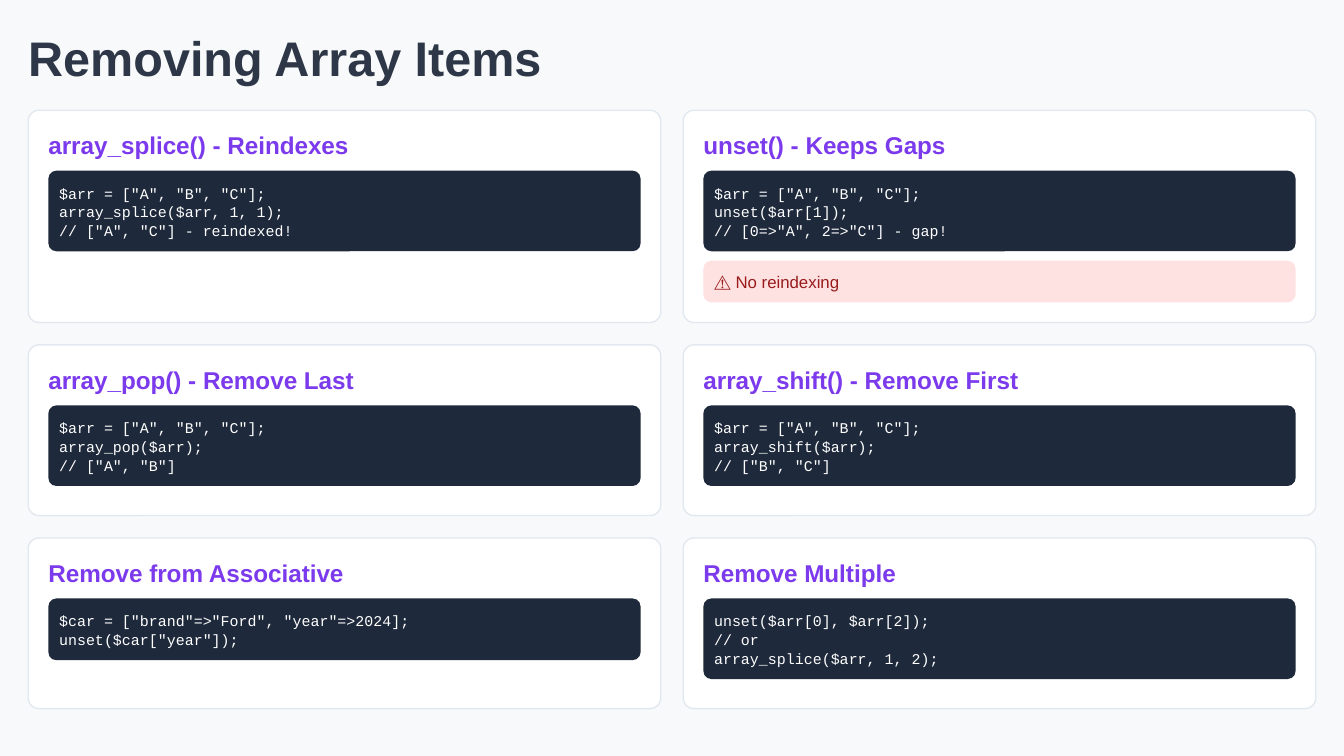
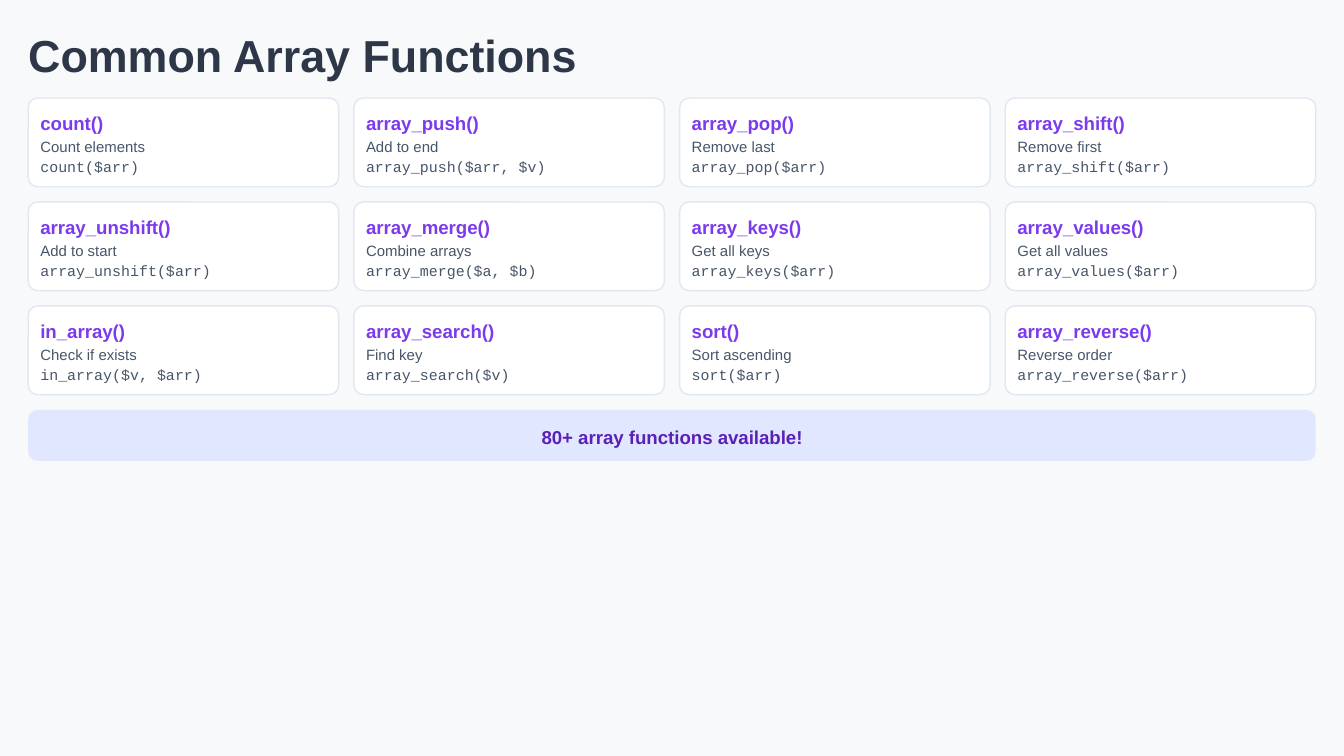
from dataclasses import dataclass

from pptx import Presentation
from pptx.dml.color import RGBColor
from pptx.enum.shapes import MSO_SHAPE
from pptx.enum.text import PP_ALIGN
from pptx.util import Inches, Pt

ROUNDED = MSO_SHAPE.ROUNDED_RECTANGLE
LEFT, CENTER = PP_ALIGN.LEFT, PP_ALIGN.CENTER

REMOVALS = [
    ("array_splice() - Reindexes",
     ['$arr = ["A", "B", "C"];', "array_splice($arr, 1, 1);", '// ["A", "C"] - reindexed!'], None),
    ("unset() - Keeps Gaps",
     ['$arr = ["A", "B", "C"];', "unset($arr[1]);", '// [0=>"A", 2=>"C"] - gap!'], "⚠️ No reindexing"),
    ("array_pop() - Remove Last",
     ['$arr = ["A", "B", "C"];', "array_pop($arr);", '// ["A", "B"]'], None),
    ("array_shift() - Remove First",
     ['$arr = ["A", "B", "C"];', "array_shift($arr);", '// ["B", "C"]'], None),
    ("Remove from Associative",
     ['$car = ["brand"=>"Ford", "year"=>2024];', 'unset($car["year"]);'], None),
    ("Remove Multiple",
     ["unset($arr[0], $arr[2]);", "// or", "array_splice($arr, 1, 2);"], None),
]

FUNCTIONS = [
    ("count()", "Count elements", "count($arr)"),
    ("array_push()", "Add to end", "array_push($arr, $v)"),
    ("array_pop()", "Remove last", "array_pop($arr)"),
    ("array_shift()", "Remove first", "array_shift($arr)"),
    ("array_unshift()", "Add to start", "array_unshift($arr)"),
    ("array_merge()", "Combine arrays", "array_merge($a, $b)"),
    ("array_keys()", "Get all keys", "array_keys($arr)"),
    ("array_values()", "Get all values", "array_values($arr)"),
    ("in_array()", "Check if exists", "in_array($v, $arr)"),
    ("array_search()", "Find key", "array_search($v)"),
    ("sort()", "Sort ascending", "sort($arr)"),
    ("array_reverse()", "Reverse order", "array_reverse($arr)"),
]


@dataclass(frozen=True)
class Theme:
    page: str = "F8F9FA"
    title: str = "2D3748"
    accent: str = "7C3AED"
    body: str = "475569"
    card: str = "FFFFFF"
    border: str = "E2E8F0"
    code_bg: str = "1E293B"
    code: str = "FFFFFF"
    warn_bg: str = "FEE2E2"
    warn: str = "991B1B"
    band: str = "E0E7FF"
    band_text: str = "5B21B6"
    sans: str = "Arial"
    mono: str = "Courier New"


T = Theme()
STYLES = {
    "title": dict(size=26, name=T.sans, color=T.title, bold=True),
    "title_small": dict(size=24, name=T.sans, color=T.title, bold=True),
    "heading": dict(size=13, name=T.sans, color=T.accent, bold=True),
    "code": dict(size=8, name=T.mono, color=T.code, after=0.5),
    "warning": dict(size=9, name=T.sans, color=T.warn),
    "func": dict(size=10, name=T.sans, color=T.accent, bold=True, after=2),
    "purpose": dict(size=8, name=T.sans, color=T.body, after=1),
    "usage": dict(size=8, name=T.mono, color=T.body),
    "banner": dict(size=10, name=T.sans, color=T.band_text, bold=True, align=CENTER),
}

MARGIN = 0.21
CONTENT_W = 9.58
LINE_H = 0.14


def add_panel(s, x, y, w, h, fill, radius, border=None):
    sp = s.shapes.add_shape(ROUNDED, Inches(x), Inches(y), Inches(w), Inches(h))
    sp.adjustments[0] = radius / h
    sp.shadow.inherit = False
    sp.fill.solid()
    sp.fill.fore_color.rgb = RGBColor.from_string(fill)
    if border:
        sp.line.color.rgb = RGBColor.from_string(border)
        sp.line.width = Pt(0.75)
    else:
        sp.line.fill.background()


def add_text(s, x, y, w, h, lines):
    tf = s.shapes.add_textbox(Inches(x), Inches(y), Inches(w), Inches(h)).text_frame
    tf.word_wrap = True
    for side in ("left", "top", "right", "bottom"):
        setattr(tf, f"margin_{side}", 0)
    for i, (text, style) in enumerate(lines):
        p = tf.add_paragraph() if i else tf.paragraphs[0]
        fmt = dict(STYLES[style])
        p.alignment = fmt.pop("align", LEFT)
        p.space_after = Pt(fmt.pop("after", 0))
        r = p.add_run()
        r.text = text
        r.font.color.rgb = RGBColor.from_string(fmt.pop("color"))
        fmt["size"] = Pt(fmt["size"])
        for key, value in fmt.items():
            setattr(r.font, key, value)


def new_slide(prs, title, style):
    s = prs.slides.add_slide(prs.slide_layouts[6])
    s.background.fill.solid()
    s.background.fill.fore_color.rgb = RGBColor.from_string(T.page)
    add_text(s, MARGIN, MARGIN, 9.78, 0.4, [(title, style)])
    return s


def removal_card(s, x, y, w, h, heading, code, warning):
    pad, inset = 0.15, 0.08
    inner_x, inner_w = x + pad, w - 2 * pad
    add_panel(s, x, y, w, h, T.card, 0.08, T.border)
    add_text(s, inner_x, y + pad, inner_w, 0.22, [(heading, "heading")])
    code_h = len(code) * LINE_H
    add_panel(s, inner_x, y + 0.45, inner_w, code_h + 0.18, T.code_bg, 0.06)
    add_text(s, inner_x + inset, y + 0.55, inner_w - inset, code_h, [(line, "code") for line in code])
    if warning:
        add_panel(s, inner_x, y + 1.12, inner_w, 0.31, T.warn_bg, 0.06)
        add_text(s, inner_x + inset, y + 1.2, inner_w - inset, 0.15, [(warning, "warning")])


def removing_slide(prs):
    s = new_slide(prs, "Removing Array Items", "title")
    cols, gap, y = 2, 1 / 6, 0.82
    w = (CONTENT_W - gap) / cols
    for row, h in enumerate((1.58, 1.27, 1.27)):
        for col, card in enumerate(REMOVALS[row * cols:(row + 1) * cols]):
            removal_card(s, MARGIN + col * (w + gap), y, w, h, *card)
        y += h + gap


def functions_slide(prs):
    s = new_slide(prs, "Common Array Functions", "title_small")
    cols, top, w, h, pad = 4, 0.73, 2.31, 0.66, 0.09
    gap = (CONTENT_W - cols * w) / (cols - 1)
    for i, texts in enumerate(FUNCTIONS):
        row, col = divmod(i, cols)
        x, y = MARGIN + col * (w + gap), top + row * (h + gap)
        add_panel(s, x, y, w, h, T.card, 0.07, T.border)
        add_text(s, x + pad, y + 0.1, w - pad, 0.46, zip(texts, ("func", "purpose", "usage")))
    y = top + len(FUNCTIONS) // cols * (h + gap)
    add_panel(s, MARGIN, y, CONTENT_W, 0.38, T.band, 0.07)
    add_text(s, MARGIN, y + 0.12, CONTENT_W, 0.16, [("80+ array functions available!", "banner")])


def main():
    prs = Presentation()
    prs.slide_width = Inches(10)
    prs.slide_height = prs.slide_width * 9 // 16
    removing_slide(prs)
    functions_slide(prs)
    prs.save("out.pptx")


if __name__ == "__main__":
    main()
